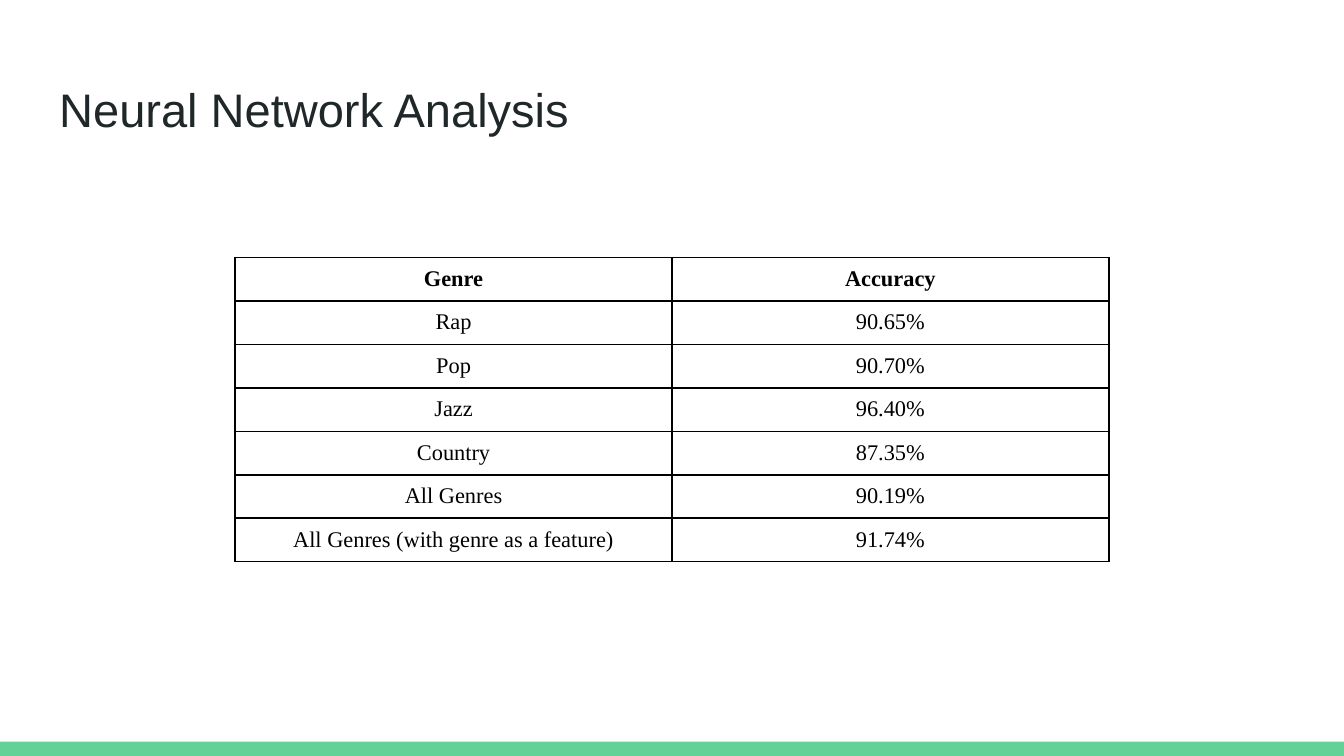
from pptx import Presentation
from pptx.dml.color import RGBColor
from pptx.enum.shapes import MSO_SHAPE as Shape
from pptx.enum.text import MSO_ANCHOR as Anchor, MSO_AUTO_SIZE as AutoSize, PP_ALIGN as Align
from pptx.oxml import parse_xml
from pptx.oxml.ns import nsdecls
from pptx.util import Pt

COLORS = {"white": "FFFFFF", "black": "000000", "title": "202729", "green": "63D297"}

RESULTS = [
    ("Genre", "Accuracy"),
    ("Rap", "90.65%"),
    ("Pop", "90.70%"),
    ("Jazz", "96.40%"),
    ("Country", "87.35%"),
    ("All Genres", "90.19%"),
    ("All Genres (with genre as a feature)", "91.74%"),
]
COLUMN_WIDTH = Pt(234)
ROW_HEIGHT = Pt(23.3)
CELL_MARGIN = Pt(4.75)


def color(name):
    return RGBColor.from_string(COLORS[name])


def add_run(paragraph, text, font_name, size, color_name, bold=False):
    run = paragraph.add_run()
    run.text = text
    run.font.name = font_name
    run.font.size = Pt(size)
    run.font.bold = bold
    run.font.color.rgb = color(color_name)


def set_margins(frame, margin):
    frame.margin_left = frame.margin_right = margin
    frame.margin_top = frame.margin_bottom = margin


def add_footer_band(slide):
    band = slide.shapes.add_shape(Shape.RECTANGLE, Pt(0), Pt(397.4), Pt(720), Pt(7.6))
    band.shadow.inherit = False
    band.fill.solid()
    band.fill.fore_color.rgb = color("green")
    band.line.fill.background()


def set_title(slide, text):
    title = slide.shapes.title
    title.left, title.top, title.width, title.height = Pt(24.5), Pt(35), Pt(671), Pt(45.4)
    frame = title.text_frame
    frame.auto_size = AutoSize.NONE
    frame.word_wrap = True
    frame.vertical_anchor = Anchor.BOTTOM
    set_margins(frame, Pt(7.2))
    heading = frame.paragraphs[0]
    heading.alignment = Align.LEFT
    add_run(heading, text, "Arial", 25.2, "title")


def add_borders(cell):
    # Border elements come before the fill in the cell properties
    properties = cell._tc.get_or_add_tcPr()
    for index, side in enumerate(("lnL", "lnR", "lnT", "lnB")):
        properties.insert(index, parse_xml(
            f'<a:{side} {nsdecls("a")} w="{Pt(1)}"><a:solidFill>'
            f'<a:srgbClr val="{COLORS["black"]}"/></a:solidFill></a:{side}>'))


def fill_cell(cell, text, bold):
    set_margins(cell, CELL_MARGIN)
    cell.fill.background()
    label = cell.text_frame.paragraphs[0]
    label.alignment = Align.CENTER
    add_run(label, text, "Times New Roman", 12, "black", bold)
    add_borders(cell)


def add_results_table(slide, results):
    row_count, column_count = len(results), len(results[0])
    table = slide.shapes.add_table(
        row_count, column_count, Pt(126), Pt(138),
        COLUMN_WIDTH * column_count, ROW_HEIGHT * row_count).table
    table.horz_banding = False
    for column in table.columns:
        column.width = COLUMN_WIDTH
    for row_index, (row, values) in enumerate(zip(table.rows, results)):
        row.height = ROW_HEIGHT
        for cell, value in zip(row.cells, values):
            fill_cell(cell, value, bold=row_index == 0)


def main():
    deck = Presentation()
    deck.slide_width, deck.slide_height = Pt(720), Pt(405)
    slide = deck.slides.add_slide(deck.slide_layouts[5])

    # Background and footer
    slide.background.fill.solid()
    slide.background.fill.fore_color.rgb = color("white")
    add_footer_band(slide)

    # Title and accuracy by genre
    set_title(slide, "Neural Network Analysis")
    add_results_table(slide, RESULTS)

    deck.save("out.pptx")


if __name__ == "__main__":
    main()
